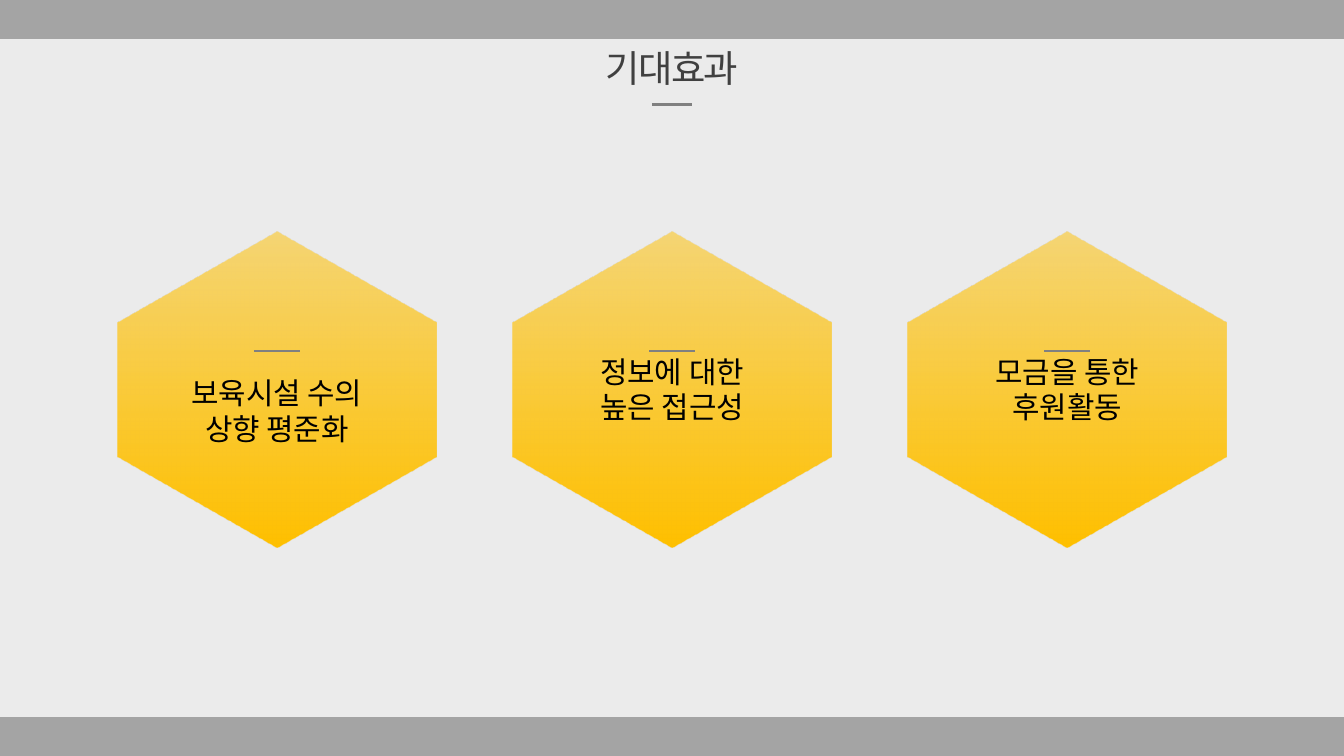
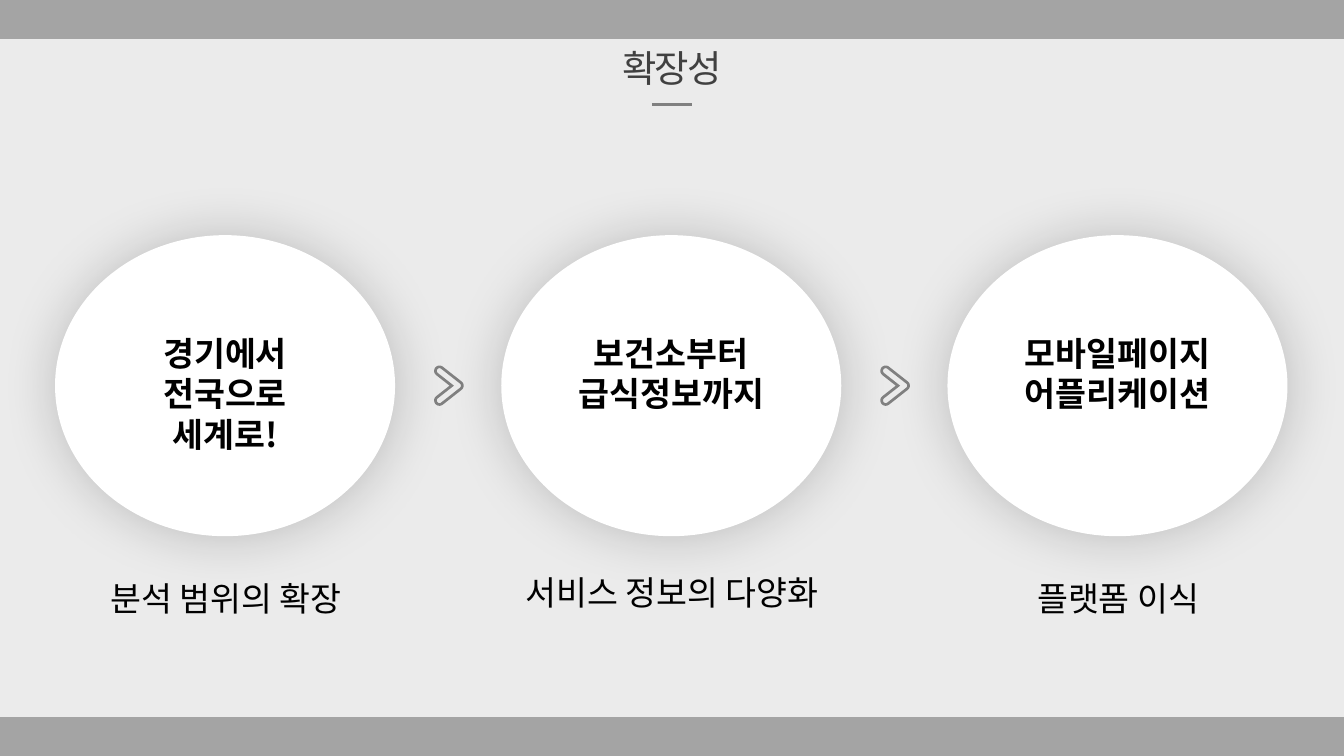
from math import atan2, cos, pi, sin

from lxml.etree import SubElement
from pptx import Presentation
from pptx.dml.color import RGBColor
from pptx.enum.shapes import MSO_CONNECTOR, MSO_SHAPE
from pptx.enum.text import MSO_ANCHOR, PP_ALIGN
from pptx.oxml import parse_xml
from pptx.oxml.ns import nsdecls, qn
from pptx.util import Inches, Pt

FONT = "Noto Sans CJK KR"
BLACK = RGBColor(0, 0, 0)
WHITE = RGBColor(0xFF, 0xFF, 0xFF)
GRAY = RGBColor(0x80, 0x80, 0x80)
BACKDROP = RGBColor(0xD9, 0xD9, 0xD9)
TITLE_COLOR = RGBColor(0x40, 0x40, 0x40)
GOLD = RGBColor(0xFF, 0xC0, 0x00)
GOLD_STOPS = [(0, 100), (50, 75), (100, 50)]

EFFECTS_TITLE = "기대효과"
EFFECTS = [
    ("보육시설 수의 상향 평준화", 0.37),
    ("정보에 대한 높은 접근성", 0.1),
    ("모금을 통한 후원활동", 0.1),
]
GROWTH_TITLE = "확장성"
GROWTH = [
    (["경기에서", "전국으로", "세계로!"], "분석 범위의 확장", 4.25),
    (["보건소부터 급식정보까지"], "서비스 정보의 다양화", 4.21),
    (["모바일페이지", "어플리케이션"], "플랫폼 이식", 4.25),
]

SLIDE_W = 10
SLIDE_H = SLIDE_W * 9 / 16
BAND_H = 0.29
HEX_W, HEX_H, HEX_TOP, HEX_PITCH = 2.35, 2.37, 1.71, 2.94
DISC_LEFT, DISC_W, DISC_H, DISC_TOP, DISC_PITCH = 0.41, 2.53, 2.24, 1.75, 3.32
CAPTION_W = 2.98
CHEVRON_TOP, CHEVRON_H = 2.72, 0.3
CHEVRON_END, CHEVRON_TIP = 0.04, 0.18


def box(shapes, kind, left, top, width, height, color, alpha=100):
    sp = shapes.add_shape(kind, Inches(left), Inches(top), Inches(width), Inches(height))
    sp.shadow.inherit = False
    sp.line.fill.background()
    sp.fill.solid()
    sp.fill.fore_color.rgb = color
    if alpha < 100:
        clr = sp.element.spPr.find(qn("a:solidFill"))[0]
        SubElement(clr, qn("a:alpha")).set("val", str(alpha * 1000))
    return sp


def rule(shapes, center, y, half, weight):
    line = shapes.add_connector(
        MSO_CONNECTOR.STRAIGHT,
        Inches(center - half), Inches(y), Inches(center + half), Inches(y))
    line.line.color.rgb = GRAY
    line.line.width = Pt(weight)
    SubElement(line.element.spPr, qn("a:effectLst"))


def write(tf, lines, size, color=BLACK, bold=False, anchor=MSO_ANCHOR.TOP):
    tf.word_wrap = True
    tf.vertical_anchor = anchor
    tf.text = "\n".join(lines)
    for p in tf.paragraphs:
        p.alignment = PP_ALIGN.CENTER
        for r in p.runs:
            r.font.size = Pt(size)
            r.font.name = FONT
            r.font.bold = bold
            r.font.color.rgb = color
            SubElement(r.font._element, qn("a:ea")).set("typeface", FONT)


def text_box(shapes, left, top, width, height):
    return shapes.add_textbox(
        Inches(left), Inches(top), Inches(width), Inches(height)).text_frame


def new_slide(prs, title):
    shapes = prs.slides.add_slide(prs.slide_layouts[6]).shapes
    box(shapes, MSO_SHAPE.RECTANGLE, 0, 0, SLIDE_W, SLIDE_H, BACKDROP, 50)
    for top in (0, SLIDE_H - BAND_H):
        box(shapes, MSO_SHAPE.RECTANGLE, 0, top, SLIDE_W, BAND_H, GRAY, 66)
    rule(shapes, SLIDE_W / 2, 0.78, 0.15, 1.75)
    tf = text_box(shapes, 0.42, 0.38, 9.16, 0.24)
    tf.margin_left = tf.margin_right = tf.margin_top = tf.margin_bottom = 0
    write(tf, [title], 20, TITLE_COLOR, anchor=MSO_ANCHOR.MIDDLE)
    tf.paragraphs[0].runs[0].font._element.set("spc", "-100")
    return shapes


def gold_gradient(sp):
    stops = "".join(
        f'<a:gs pos="{pos * 1000}"><a:srgbClr val="{GOLD}">'
        f'<a:alpha val="{alpha * 1000}"/></a:srgbClr></a:gs>'
        for pos, alpha in GOLD_STOPS)
    grad = parse_xml(
        f'<a:gradFill {nsdecls("a")} rotWithShape="1"><a:gsLst>{stops}</a:gsLst>'
        '<a:lin ang="10800000" scaled="0"/></a:gradFill>')
    spPr = sp.element.spPr
    spPr.replace(spPr.find(qn("a:solidFill")), grad)


def hexagon(shapes, center, text, inset):
    sp = box(shapes, MSO_SHAPE.HEXAGON, center - HEX_W / 2, HEX_TOP, HEX_W, HEX_H, GOLD)
    sp.rotation = 90
    sp.adjustments[0] = 0.288
    sp.adjustments[1] = 1.155
    gold_gradient(sp)
    tf = sp.text_frame
    write(tf, [text], 16, anchor=MSO_ANCHOR.MIDDLE)
    tf.margin_left = Inches(inset)
    tf._txBody.bodyPr.set("vert", "vert270")
    rule(shapes, center, 2.61, 0.17, 1)


def disc(shapes, left, lines):
    sp = box(shapes, MSO_SHAPE.OVAL, left, DISC_TOP, DISC_W, DISC_H, WHITE)
    effects = sp.element.spPr.find(qn("a:effectLst"))
    effects.append(parse_xml(
        f'<a:outerShdw {nsdecls("a")} blurRad="{Pt(30)}" dist="0" dir="0" '
        f'algn="ctr" rotWithShape="0"><a:srgbClr val="{BLACK}">'
        '<a:alpha val="20000"/></a:srgbClr></a:outerShdw>'))
    sp.text_frame.margin_top = Inches(0.4)
    write(sp.text_frame, lines, 18, bold=True)


def arc(x, y, radius, start, end, steps=10):
    angles = [start + (end - start) * i / steps for i in range(steps + 1)]
    return [(x + radius * cos(a), y + radius * sin(a)) for a in angles]


def chevron_outline(left, radius):
    x, tip = left + CHEVRON_END, left + CHEVRON_TIP
    top, bottom = CHEVRON_TOP + CHEVRON_END, CHEVRON_TOP + CHEVRON_H - CHEVRON_END
    middle = (top + bottom) / 2
    slope = atan2(middle - top, tip - x)
    points = (
        arc(x, top, radius, slope + pi / 2, slope + 3 * pi / 2)
        + arc(tip, middle, radius, slope - pi / 2, pi / 2 - slope)
        + arc(x, bottom, radius, pi / 2 - slope, 3 * pi / 2 - slope)
        + [(tip - radius / sin(slope), middle)])
    return [(Inches(px), Inches(py)) for px, py in points]


def chevron(shapes, left):
    outer, inner = (chevron_outline(left, radius) for radius in (0.04, 0.02))
    fb = shapes.build_freeform(*outer[0])
    fb.add_line_segments(outer[1:], close=True)
    fb.move_to(*inner[0])
    fb.add_line_segments(inner[1:], close=True)
    sp = fb.convert_to_shape()
    sp.shadow.inherit = False
    sp.fill.solid()
    sp.fill.fore_color.rgb = GRAY
    sp.line.fill.background()


def effects_slide(prs):
    shapes = new_slide(prs, EFFECTS_TITLE)
    for i, (text, inset) in enumerate(EFFECTS):
        hexagon(shapes, SLIDE_W / 2 + (i - 1) * HEX_PITCH, text, inset)


def growth_slide(prs):
    shapes = new_slide(prs, GROWTH_TITLE)
    for i, (lines, caption, caption_top) in enumerate(GROWTH):
        left = DISC_LEFT + i * DISC_PITCH
        disc(shapes, left, lines)
        tf = text_box(shapes, left - 0.22, caption_top, CAPTION_W, 0.4)
        write(tf, [caption], 18)
        if i < len(GROWTH) - 1:
            chevron(shapes, left + 2.82)


def main():
    prs = Presentation()
    prs.slide_width, prs.slide_height = Inches(SLIDE_W), Inches(SLIDE_H)
    effects_slide(prs)
    growth_slide(prs)
    prs.save("out.pptx")


if __name__ == "__main__":
    main()
